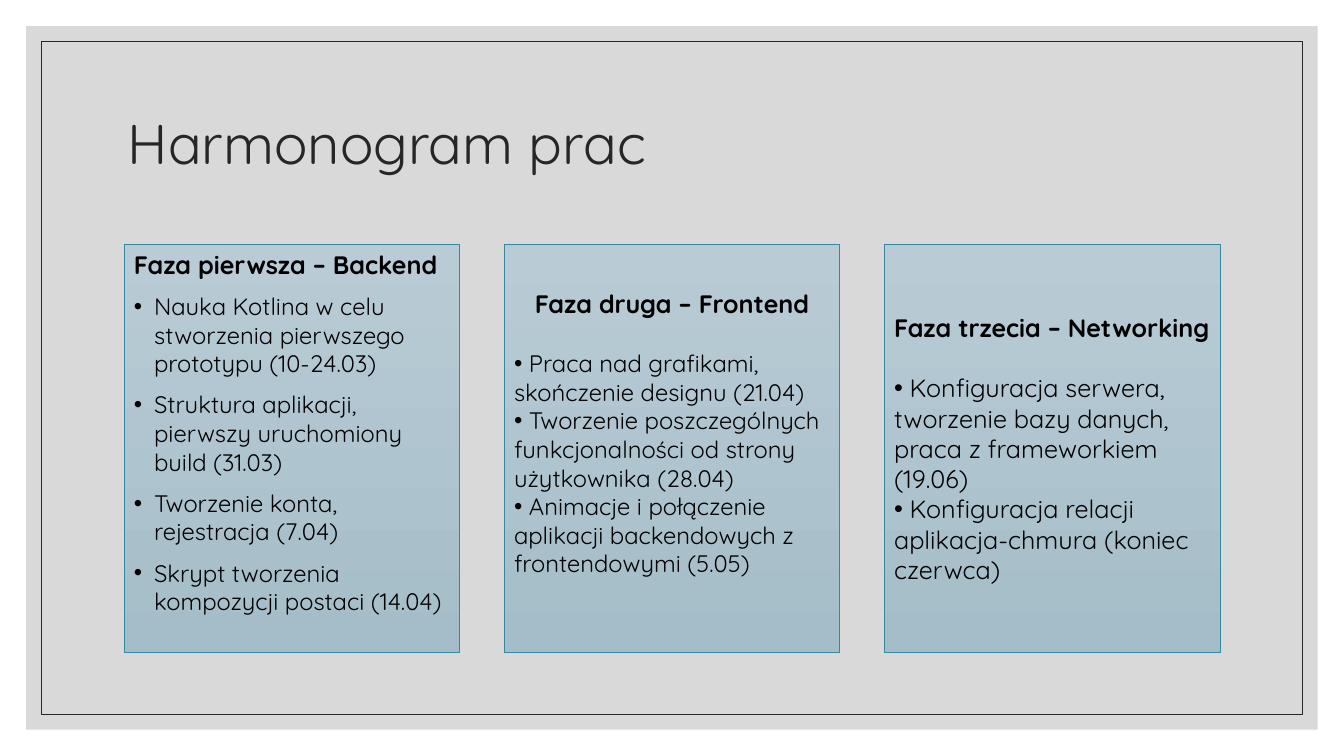
from lxml import etree
from pptx import Presentation
from pptx.dml.color import RGBColor
from pptx.enum.shapes import MSO_SHAPE
from pptx.enum.text import MSO_ANCHOR, PP_ALIGN
from pptx.oxml.ns import qn
from pptx.util import Pt

RECTANGLE = MSO_SHAPE.RECTANGLE
TOP, MIDDLE = MSO_ANCHOR.TOP, MSO_ANCHOR.MIDDLE
LEFT, CENTER = PP_ALIGN.LEFT, PP_ALIGN.CENTER

# Content
TITLE = "Harmonogram prac"
PHASES = [
    {
        "heading": "Faza pierwsza – Backend",
        "tasks": [
            "Nauka Kotlina w celu stworzenia pierwszego prototypu (10-24.03)",
            "Struktura aplikacji, pierwszy uruchomiony build (31.03)",
            "Tworzenie konta, rejestracja (7.04)",
            "Skrypt tworzenia kompozycji postaci (14.04)",
        ],
        "anchor": TOP, "align": LEFT, "size": 17, "indent": 14.4,
        "heading_gap": 0, "task_gap": 9, "bottom": 3.6,
    },
    {
        "heading": "Faza druga – Frontend",
        "tasks": [
            " Praca nad grafikami, skończenie designu (21.04)",
            " Tworzenie poszczególnych funkcjonalności od strony użytkownika (28.04)",
            " Animacje i połączenie aplikacji backendowych z frontendowymi (5.05)",
        ],
        "anchor": MIDDLE, "align": CENTER, "size": 17, "indent": 0,
        "heading_gap": 21.6, "task_gap": 0, "bottom": 25.2,
    },
    {
        "heading": "Faza trzecia – Networking",
        "tasks": [
            " Konfiguracja serwera, tworzenie bazy danych, praca z frameworkiem (19.06)",
            " Konfiguracja relacji aplikacja-chmura (koniec czerwca)",
        ],
        "anchor": MIDDLE, "align": LEFT, "size": 18, "indent": 0,
        "heading_gap": 21.6, "task_gap": 0, "bottom": 3.6,
    },
]

# Style and layout, in points
FONT = "Quicksand"
BLACK = RGBColor(0x00, 0x00, 0x00)
DARK = RGBColor(0x26, 0x26, 0x26)
PANEL = RGBColor(0xD9, 0xD9, 0xD9)
CARD_TOP_COLOR = RGBColor(0xB9, 0xCC, 0xD5)
CARD_BOTTOM_COLOR = RGBColor(0xA5, 0xBD, 0xC8)
CARD_LINE = RGBColor(0x34, 0x88, 0xA0)
SLIDE_WIDTH, SLIDE_HEIGHT = 960, 540
PANEL_MARGIN, FRAME_MARGIN = 18.72, 29.52
CARD_LEFT, CARD_TOP, CARD_WIDTH, CARD_HEIGHT = 88.6, 174.3, 239.8, 291.8
CARD_PITCH = 271.5


def set_attributes(target, **values):
    for name, value in values.items():
        setattr(target, name, value)


def add_rectangle(slide, left, top, width, height, line_color=None):
    shape = slide.shapes.add_shape(RECTANGLE, Pt(left), Pt(top), Pt(width), Pt(height))
    shape.shadow.inherit = False
    shape.fill.background()
    if line_color is None:
        shape.line.fill.background()
    else:
        shape.line.color.rgb = line_color
        shape.line.width = Pt(0.5)
    return shape


def add_margin_rectangle(slide, margin, line_color=None):
    return add_rectangle(slide, margin, margin, SLIDE_WIDTH - 2 * margin,
                         SLIDE_HEIGHT - 2 * margin, line_color)


def write(paragraph, text, size, color, bold=False):
    run = paragraph.add_run()
    run.text = text
    set_attributes(run.font, name=FONT, size=Pt(size), bold=bold)
    run.font.color.rgb = color


def add_bullet(paragraph, indent):
    properties = paragraph._p.get_or_add_pPr()
    properties.set("marL", str(Pt(indent)))
    properties.set("indent", str(-Pt(indent)))
    etree.SubElement(properties, qn("a:buFont")).set("typeface", "Arial")
    etree.SubElement(properties, qn("a:buChar")).set("char", "•")


def add_card(slide, left, phase):
    card = add_rectangle(slide, left, CARD_TOP, CARD_WIDTH, CARD_HEIGHT, CARD_LINE)
    card.fill.gradient()
    card.fill.gradient_angle = 270
    for stop, color in zip(card.fill.gradient_stops, (CARD_TOP_COLOR, CARD_BOTTOM_COLOR)):
        stop.color.rgb = color

    frame = card.text_frame
    set_attributes(frame, word_wrap=True, vertical_anchor=phase["anchor"],
                   margin_bottom=Pt(phase["bottom"]))
    heading = frame.paragraphs[0]
    set_attributes(heading, alignment=phase["align"], space_after=Pt(phase["heading_gap"]))
    write(heading, phase["heading"], 18, BLACK, bold=True)
    for task in phase["tasks"]:
        paragraph = frame.add_paragraph()
        set_attributes(paragraph, alignment=LEFT, space_before=Pt(phase["task_gap"]))
        add_bullet(paragraph, phase["indent"])
        write(paragraph, task, phase["size"], BLACK)


def main():
    presentation = Presentation()
    set_attributes(presentation, slide_width=Pt(SLIDE_WIDTH), slide_height=Pt(SLIDE_HEIGHT))
    slide = presentation.slides.add_slide(presentation.slide_layouts[5])

    # Background panel and thin frame
    panel = add_margin_rectangle(slide, PANEL_MARGIN)
    panel.fill.solid()
    panel.fill.fore_color.rgb = PANEL
    add_margin_rectangle(slide, FRAME_MARGIN, DARK)

    # Title, brought in front of the panel
    title = slide.shapes.title
    set_attributes(title, left=Pt(84.2), top=Pt(50.4), width=Pt(792), height=Pt(108))
    title.text_frame.vertical_anchor = MIDDLE
    paragraph = title.text_frame.paragraphs[0]
    set_attributes(paragraph, alignment=LEFT, line_spacing=0.9)
    write(paragraph, TITLE, 40, DARK)
    slide.shapes._spTree.append(title._element)

    # One card per phase
    for index, phase in enumerate(PHASES):
        add_card(slide, CARD_LEFT + index * CARD_PITCH, phase)

    presentation.save("out.pptx")


if __name__ == "__main__":
    main()
